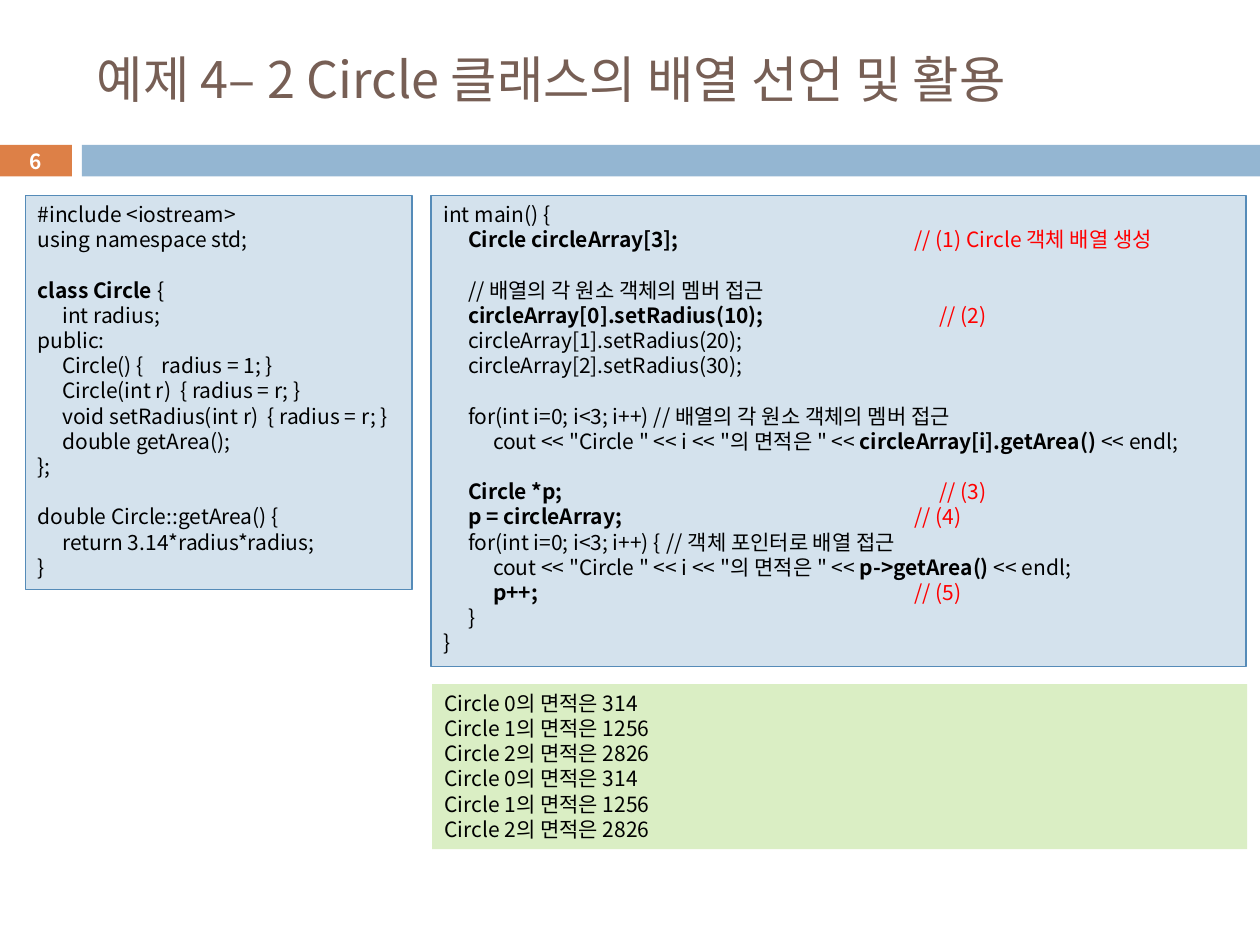
from lxml.etree import SubElement
from pptx import Presentation
from pptx.dml.color import RGBColor
from pptx.enum.shapes import MSO_SHAPE as Shape
from pptx.enum.text import MSO_ANCHOR as Anchor, PP_ALIGN as Align
from pptx.oxml.ns import qn
from pptx.util import Cm, Pt

FONT = "Noto Sans CJK KR"
COLORS = {"title": "775F55", "number": "FFFFFF", "plain": "000000", "bold": "000000",
          "note": "FF0000", "orange": "DD8047", "bar": "94B6D2",
          "code": "D4E2ED", "edge": "558BB8", "output": "DAEEC4"}
LINE = Pt(14.4)
INDENT = 0.5  # cm per code level

TITLE = "예제 4– 2 Circle 클래스의 배열 선언 및 활용"
PAGE = "6"

# A line is a string or a list of (text, style[, tab stop in cm]); "" is a one-line gap.
CLASS_CODE = [
    "#include <iostream>",
    "using namespace std;",
    "",
    [("class Circle ", "bold"), ("{", "plain")],
    "\tint radius;",
    "public:",
    [("\tCircle() {\tradius = 1; }", "plain", 2.5)],
    "\tCircle(int r)  { radius = r; }",
    "\tvoid setRadius(int r)  { radius = r; }",
    "\tdouble getArea();",
    "};",
    "",
    "double Circle::getArea() {",
    "\treturn 3.14*radius*radius;",
    "}",
]
COUT = '\t\tcout << "Circle " << i << "의 면적은 " << '
MAIN_CODE = [
    "int main() {",
    [("\tCircle circleArray[3]; ", "bold"), ("\t// (1) Circle 객체 배열 생성", "note", 9.5)],
    "",
    "\t// 배열의 각 원소 객체의 멤버 접근",
    [("\tcircleArray[0].setRadius(10); ", "bold"), ("\t// (2)", "note", 10)],
    "\tcircleArray[1].setRadius(20);",
    "\tcircleArray[2].setRadius(30);",
    "",
    "\tfor(int i=0; i<3; i++) // 배열의 각 원소 객체의 멤버 접근",
    [(COUT, "plain"), ("circleArray[i].getArea() ", "bold"), ("<< endl;", "plain")],
    "",
    [("\tCircle *p; ", "bold"), ("\t// (3)", "note", 10)],
    [("\tp = circleArray; ", "bold"), ("\t// (4)", "note", 9.5)],
    [("\tfor(int i=0; i<3; i++) { \t// 객체 포인터로 배열 접근", "plain", 4.5)],
    [(COUT, "plain"), ("p->getArea() ", "bold"), ("<< endl;", "plain")],
    [("\t\tp++; ", "bold"), ("\t// (5)", "note", 9.5)],
    "\t}",
    "}",
]
OUTPUT = [f"Circle {i}의 면적은 {area}" for i, area in enumerate((314, 1256, 2826))] * 2

# left, top, width, height in cm
BARS = [((0, 2.92, 1.45, 0.64), "orange"), ((1.65, 2.92, 23.75, 0.64), "bar")]
PANELS = [
    ((8.71, 13.79, 16.43, 3.33), "output", None, OUTPUT),
    ((0.51, 3.94, 7.8, 7.95), "code", "edge", CLASS_CODE),
    ((8.69, 3.94, 16.43, 9.5), "code", "edge", MAIN_CODE),
]


def rgb(name):
    return RGBColor.from_string(COLORS[name])


def format_run(r, size, color, bold=False):
    r.font.size, r.font.bold, r.font.name = Pt(size), bold, FONT
    r.font.color.rgb = rgb(color)
    SubElement(r.font._element, qn("a:ea"), typeface=FONT)


def add_box(slide, box, fill, edge=None):
    sp = slide.shapes.add_shape(Shape.RECTANGLE, *map(Cm, box))
    sp.shadow.inherit = False
    sp.fill.solid()
    sp.fill.fore_color.rgb = rgb(fill)
    if edge:
        sp.line.color.rgb = rgb(edge)
        sp.line.width = Pt(0.75)
    else:
        sp.line.fill.background()
    return sp


def set_tabs(p, stops):
    tabs = SubElement(p._p.get_or_add_pPr(), qn("a:tabLst"))
    for stop in stops:
        SubElement(tabs, qn("a:tab"), pos=str(Cm(stop)), algn="l")


def write_lines(tf, lines):
    tf.word_wrap = True
    tf.vertical_anchor = Anchor.TOP
    p, gap = tf.paragraphs[0], False
    for i, line in enumerate(lines):
        if not line:
            gap = True
            continue
        if i:
            p = tf.add_paragraph()
        parts = [(line, "plain")] if isinstance(line, str) else line
        p.alignment = Align.LEFT
        p.line_spacing = LINE
        p.space_before = LINE if gap else Pt(0)
        gap = False
        set_tabs(p, [INDENT, 2 * INDENT] + [stop for part in parts for stop in part[2:]])
        for text, style, *_ in parts:
            r = p.add_run()
            r.text = text
            format_run(r, 12, style, style == "bold")


def main():
    prs = Presentation()
    prs.slide_width, prs.slide_height = Cm(25.4), Cm(19.05)
    s = prs.slides.add_slide(prs.slide_layouts[5])

    title = s.shapes.title
    title.left, title.top, title.width, title.height = map(Cm, (1.7, 0.64, 22.66, 1.88))
    tf = title.text_frame
    tf.text = TITLE
    tf.vertical_anchor = Anchor.MIDDLE
    tf.paragraphs[0].alignment = Align.LEFT
    format_run(tf.paragraphs[0].runs[0], 28.8, "title")

    number, _ = [add_box(s, box, fill) for box, fill in BARS]
    tf = number.text_frame
    tf.margin_top = tf.margin_bottom = 0
    tf.vertical_anchor = Anchor.MIDDLE
    tf.text = PAGE
    tf.paragraphs[0].alignment = Align.CENTER
    format_run(tf.paragraphs[0].runs[0], 11.9, "number", True)

    for box, fill, edge, lines in PANELS:
        write_lines(add_box(s, box, fill, edge).text_frame, lines)

    prs.save("out.pptx")


if __name__ == "__main__":
    main()
